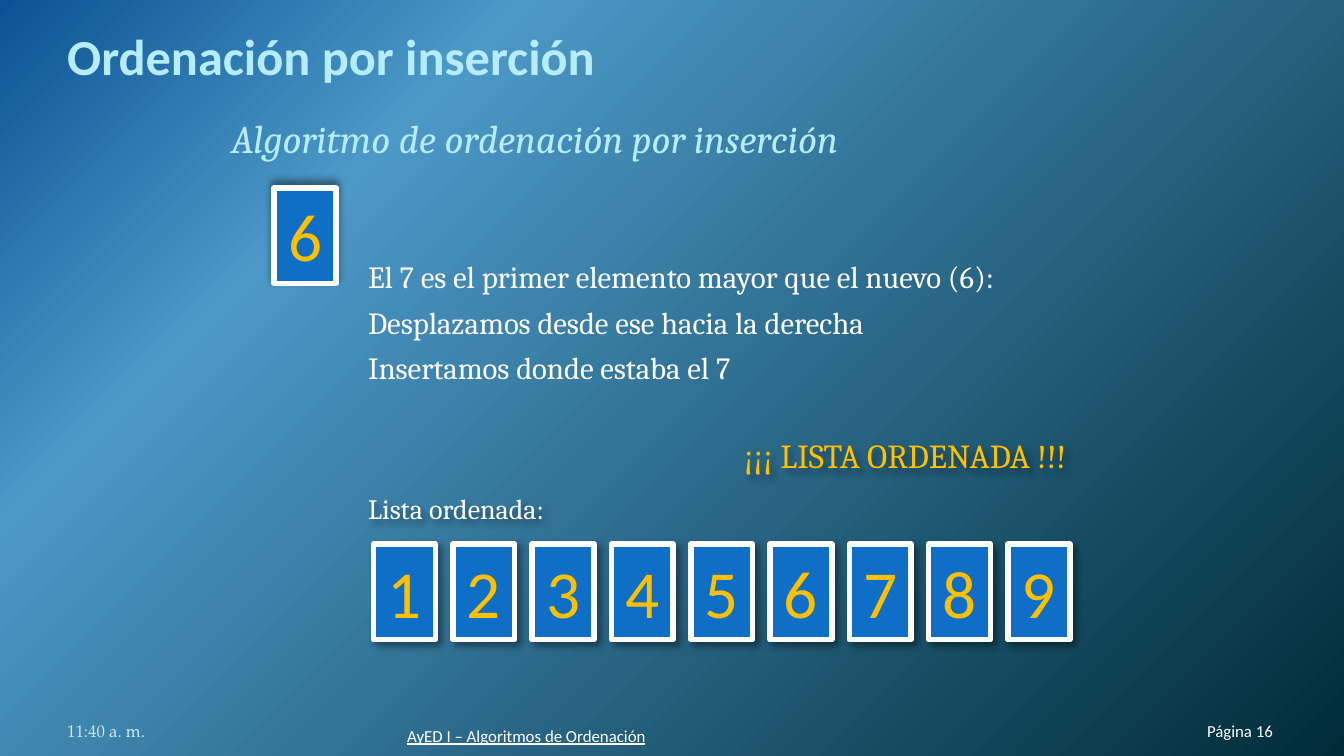
import dataclasses

import pptx
import pptx.dml.color
import pptx.enum.shapes
import pptx.enum.text
import pptx.oxml
import pptx.oxml.ns
import pptx.util

Inches = pptx.util.Inches
Pt = pptx.util.Pt
Align = pptx.enum.text.PP_ALIGN
Anchor = pptx.enum.text.MSO_ANCHOR
AutoSize = pptx.enum.text.MSO_AUTO_SIZE
NAMESPACES = (
    'xmlns:a="http://schemas.openxmlformats.org/drawingml/2006/main"'
)


@dataclasses.dataclass(frozen=True)
class Theme:
    gradient: tuple = ((0, "0B5394"), (25, "4C98C7"), (100, "002C38"))
    heading: str = "B5EDFD"
    heading_outline: str = "0070C0"
    text: str = "FFFFFF"
    accent: str = "FFC000"
    tile: str = "0F6FC6"
    clock: str = "D1EAEE"
    shadow: str = "000000"
    sans: str = "Calibri"
    serif: str = "Cambria"
    clock_font: str = "TeX Gyre Pagella"
    title_size: float = 27
    subtitle_size: float = 21
    tile_size: float = 36
    notice_size: float = 18
    steps_size: float = 16.5
    label_size: float = 15
    footer_size: float = 9


def rgb(value):
    return pptx.dml.color.RGBColor.from_string(value)


def xml(markup):
    """Parse one element, declaring its namespace on the opening tag."""
    name, rest = markup.split(" ", 1)
    return pptx.oxml.parse_xml(f"{name} {NAMESPACES} {rest}")


def write(frame, text, *, size, font, color, bold=None, italic=None,
          underline=None, align=Align.LEFT, after=0):
    """Fill a text frame with one paragraph per line of text."""
    for index, line in enumerate(text.split("\n")):
        para = frame.add_paragraph() if index else frame.paragraphs[0]
        para.alignment = align
        para.space_before = Pt(0)
        para.space_after = Pt(after)
        span = para.add_run()
        span.text = line
        span.font.size = Pt(size)
        span.font.name = font
        span.font.color.rgb = rgb(color)
        span.font.bold = bold
        span.font.italic = italic
        span.font.underline = underline


def place(shape, left, top, width, height):
    shape.left, shape.top = Inches(left), Inches(top)
    shape.width, shape.height = Inches(width), Inches(height)


def set_insets(frame, top=0):
    frame.margin_left = frame.margin_right = frame.margin_bottom = 0
    frame.margin_top = Inches(top)


class SlideBuilder:
    def __init__(self, page, theme):
        self.page = page
        self.theme = theme

    def background(self):
        stops = "".join(
            f'<a:gs pos="{position * 1000}"><a:srgbClr val="{color}"/></a:gs>'
            for position, color in self.theme.gradient)
        self.page.background.fill.solid()
        solid = self.page.element.cSld.bg.bgPr[0]
        solid.getparent().replace(solid, xml(
            f'<a:gradFill rotWithShape="1"><a:gsLst>{stops}</a:gsLst>'
            '<a:path path="circle"><a:fillToRect r="100000" b="100000"/>'
            '</a:path></a:gradFill>'))

    def title(self, text):
        theme, title = self.theme, self.page.shapes.title
        place(title, 0.5, 0.23, 9, 0.41)
        frame = title.text_frame
        frame.auto_size = AutoSize.NONE
        frame.vertical_anchor = Anchor.BOTTOM
        set_insets(frame, top=0.05)
        write(frame, text, size=theme.title_size, font=theme.sans,
              color=theme.heading, bold=True)
        properties = frame.paragraphs[0].runs[0]._r.get_or_add_rPr()
        properties.insert(0, xml(
            f'<a:ln w="{Pt(0.75)}"><a:solidFill><a:srgbClr '
            f'val="{theme.heading_outline}"/></a:solidFill></a:ln>'))

    def subtitle(self, text):
        theme, body = self.theme, self.page.placeholders[1]
        place(body, 1.62, 0.8, 6.86, 4.19)
        frame = body.text_frame
        frame.auto_size = AutoSize.NONE
        properties = frame.paragraphs[0]._p.get_or_add_pPr()
        properties.set("marL", "0")
        properties.set("indent", "0")
        properties.append(xml("<a:buNone />"))
        write(frame, text, size=theme.subtitle_size, font=theme.serif,
              color=theme.heading, italic=True, after=9)

    def shadow(self, shape, direction=45):
        shape.shadow.inherit = False
        effects = shape.element.spPr.find(pptx.oxml.ns.qn("a:effectLst"))
        effects.append(xml(
            f'<a:outerShdw blurRad="{Pt(4)}" dist="{Pt(3)}" '
            f'dir="{direction * 60000}" rotWithShape="0">'
            f'<a:srgbClr val="{self.theme.shadow}"><a:alpha val="40000"/>'
            '</a:srgbClr></a:outerShdw>'))

    def tile(self, number, left, top, shadow_direction=45):
        theme = self.theme
        tile = self.page.shapes.add_shape(
            pptx.enum.shapes.MSO_SHAPE.RECTANGLE,
            Inches(left), Inches(top), Inches(0.46), Inches(0.71))
        tile.fill.solid()
        tile.fill.fore_color.rgb = rgb(theme.tile)
        tile.line.color.rgb = rgb(theme.text)
        tile.line.width = Pt(3)
        self.shadow(tile, shadow_direction)
        frame = tile.text_frame
        frame.word_wrap = False
        frame.auto_size = AutoSize.SHAPE_TO_FIT_TEXT
        frame.vertical_anchor = Anchor.TOP
        write(frame, str(number), size=theme.tile_size, font=theme.sans,
              color=theme.accent, align=Align.CENTER, after=4.5)

    def text_box(self, left, top, width, height):
        return self.page.shapes.add_textbox(
            Inches(left), Inches(top), Inches(width), Inches(height))

    def note(self, text, bounds, size, color, shadow=False):
        box = self.text_box(*bounds)
        box.text_frame.word_wrap = False
        box.text_frame.auto_size = AutoSize.SHAPE_TO_FIT_TEXT
        write(box.text_frame, text, size=size, font=self.theme.serif,
              color=color, after=4.5)
        if shadow:
            self.shadow(box)

    def footer(self, text, bounds, **text_format):
        theme = self.theme
        frame = self.text_box(*bounds).text_frame
        frame.word_wrap = True
        frame.vertical_anchor = Anchor.BOTTOM
        set_insets(frame)
        defaults = {"size": theme.footer_size, "font": theme.sans,
                    "color": theme.text}
        write(frame, text, **{**defaults, **text_format})


def main():
    deck = pptx.Presentation()
    deck.slide_width = Inches(10)
    deck.slide_height = deck.slide_width * 9 // 16
    theme = Theme()
    page = deck.slides.add_slide(deck.slide_layouts[1])
    builder = SlideBuilder(page, theme)

    builder.background()
    builder.title("Ordenación por inserción")
    builder.subtitle("Algoritmo de ordenación por inserción")
    builder.tile(6, 2.04, 1.4, shadow_direction=270)
    for index in range(9):
        builder.tile(index + 1, 2.78 + 0.59 * index, 4.05)

    builder.note("¡¡¡ LISTA ORDENADA !!!", (5.44, 3.19, 2.7, 0.4),
                 theme.notice_size, theme.accent, shadow=True)
    builder.note("Lista ordenada:", (2.64, 3.61, 1.6, 0.35),
                 theme.label_size, theme.text, shadow=True)
    builder.note("El 7 es el primer elemento mayor que el nuevo (6):\n"
                 "Desplazamos desde ese hacia la derecha\n"
                 "Insertamos donde estaba el 7",
                 (2.64, 1.87, 5.18, 1.07), theme.steps_size, theme.text)

    builder.footer("11:40 a. m.", (0.5, 5.21, 2.33, 0.3),
                   font=theme.clock_font, color=theme.clock)
    builder.footer("AyED I – Algoritmos de Ordenación",
                   (3.03, 5.25, 3.78, 0.3), underline=True)
    builder.footer("Página 16", (8.49, 5.21, 0.98, 0.3), align=Align.RIGHT)
    deck.save("out.pptx")


if __name__ == "__main__":
    main()
